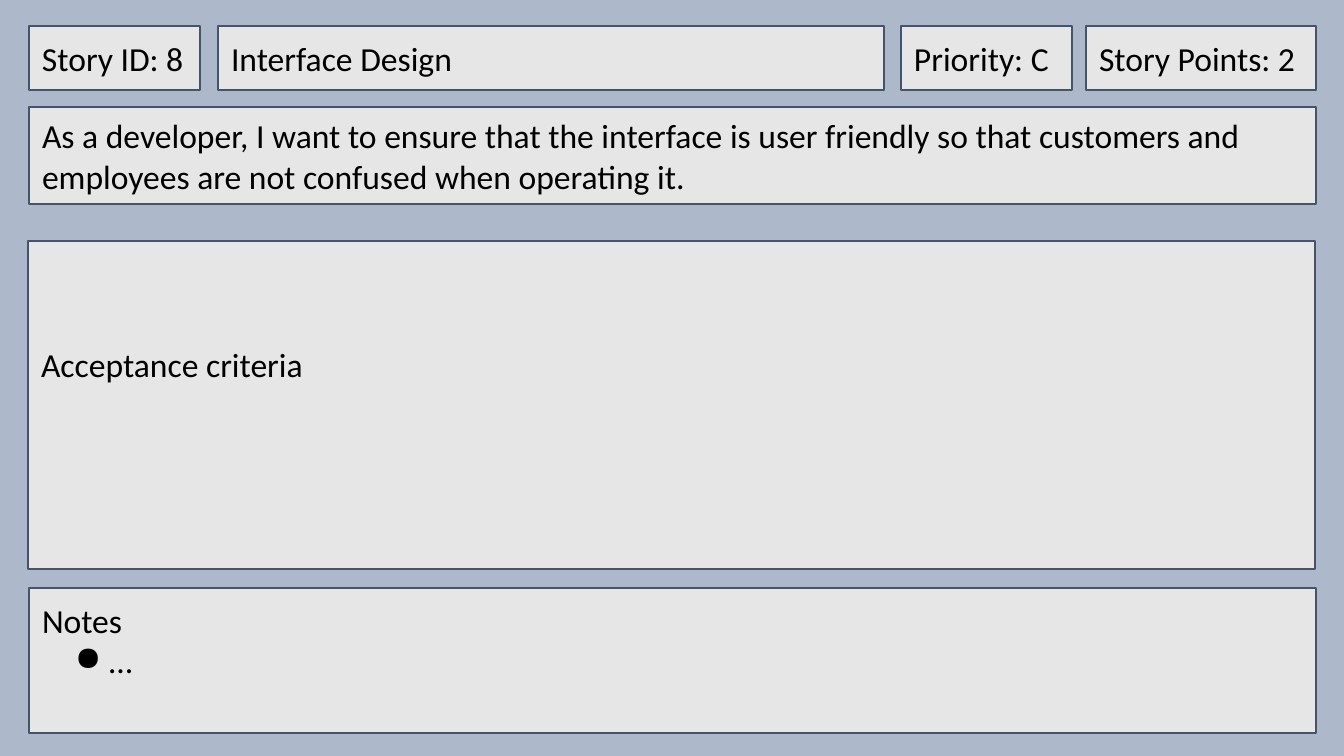
from lxml.etree import SubElement
from pptx import Presentation
from pptx.dml.color import RGBColor
from pptx.enum.shapes import MSO_SHAPE
from pptx.enum.text import MSO_ANCHOR, PP_ALIGN
from pptx.oxml.ns import qn
from pptx.util import Emu, Pt

SCALE = 914400 / 134.4
INSET = 13
LINE_HEIGHT = 41
LEFT = 29
WIDTH = 1287


def px(length):
    return Emu(round(length * SCALE))


def color(value):
    return RGBColor.from_string(value)


def add_bullet(paragraph):
    properties = paragraph._p.get_or_add_pPr()
    properties.set("marL", str(px(67)))
    properties.set("indent", str(px(-34)))
    SubElement(properties, qn("a:buChar")).set("char", "●")


def add_card(slide, left, top, width, height, text, lines_below=0):
    shape = slide.shapes.add_shape(
        MSO_SHAPE.RECTANGLE, px(left), px(top), px(width), px(height))
    shape.shadow.inherit = False
    shape.fill.solid()
    shape.fill.fore_color.rgb = color("E7E6E6")
    shape.line.color.rgb = color("44546A")
    shape.line.width = Pt(0.75)
    frame = shape.text_frame
    frame.word_wrap = True
    frame.vertical_anchor = MSO_ANCHOR.MIDDLE
    frame.margin_left = frame.margin_right = frame.margin_top = px(INSET)
    frame.margin_bottom = px(INSET + lines_below * LINE_HEIGHT)
    frame.text = text
    for paragraph in frame.paragraphs:
        paragraph.alignment = PP_ALIGN.LEFT
        for run in paragraph.runs:
            run.font.name = "Calibri"
            run.font.size = Pt(18)
            run.font.color.rgb = color("000000")
    return shape


def add_header(slide):
    for left, width, text in (
        (LEFT, 171, "Story ID: 8"),
        (218, 666, "Interface Design"),
        (901, 171, "Priority: C"),
        (1086, 230, "Story Points: 2"),
    ):
        add_card(slide, left, 26, width, 64, text)


def main():
    presentation = Presentation()
    presentation.slide_width = px(1344)
    presentation.slide_height = px(756)
    slide = presentation.slides.add_slide(presentation.slide_layouts[6])
    slide.background.fill.solid()
    slide.background.fill.fore_color.rgb = color("ADB9CA")

    add_header(slide)
    add_card(slide, LEFT, 107, WIDTH, 97,
             "As a developer, I want to ensure that the interface is user friendly "
             "so that customers and employees are not confused when operating it.")
    add_card(slide, LEFT - 1, 241, WIDTH, 328, "Acceptance criteria", lines_below=2)
    notes = add_card(slide, LEFT, 588, WIDTH, 145, "Notes\n…", lines_below=1)
    add_bullet(notes.text_frame.paragraphs[1])

    presentation.save("out.pptx")


main()
